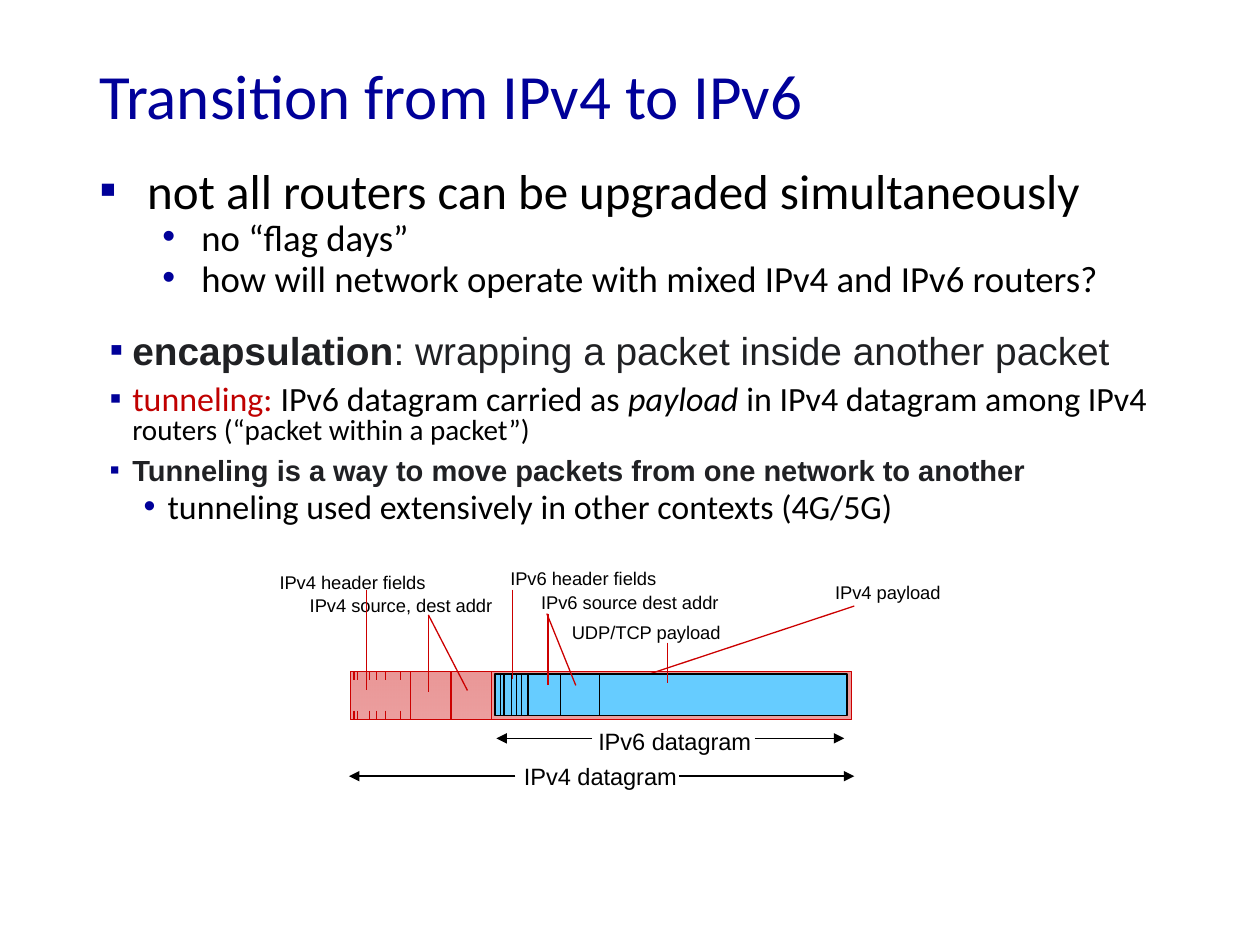
"""Build the slide on moving from IPv4 to IPv6 by tunneling."""
from lxml.etree import SubElement
from pptx import Presentation
from pptx.dml.color import RGBColor
from pptx.enum.shapes import MSO_CONNECTOR, MSO_SHAPE
from pptx.enum.text import MSO_ANCHOR, PP_ALIGN
from pptx.oxml.ns import qn
from pptx.util import Inches, Pt

COLORS = {"navy": "000099", "black": "000000", "red": "CC0000", "accent": "C00000",
          "gray": "202124", "blue": "66CCFF"}

TITLE = ("Transition from IPv4 to IPv6", 36, "Calibri", "navy", "")

# Paragraph: bullet, left indent, hanging indent, space before, runs
# Run: text, size, font, color, style (b bold, i italic)
PROBLEM = [
    ("▪", 0.38, 0.38, 5.6,
     [("not all routers can be upgraded simultaneously", 28, "Calibri", "black", "")]),
    ("•", 0.81, 0.31, 4.2, [("no “flag days”", 21, "Calibri", "black", "")]),
    ("•", 0.81, 0.31, 4.2,
     [("how will network operate with mixed IPv4 and IPv6 routers?", 21, "Calibri", "black", "")]),
]
TUNNELING = [
    ("▪", 0.29, 0.18, 7.5,
     [("encapsulation", 22.2, "Arial", "gray", "b"),
      (": wrapping a packet inside another packet", 22.2, "Arial", "gray", "")]),
    ("▪", 0.29, 0.18, 7.5,
     [("tunneling: ", 19.4, "Calibri", "accent", ""),
      ("IPv6 datagram carried as ", 19.4, "Calibri", "black", ""),
      ("payload", 19.4, "Calibri", "black", "i"),
      (" in IPv4 datagram among IPv4 ", 19.4, "Calibri", "black", ""),
      ("routers (“packet within a packet”)", 16.6, "Calibri", "black", "")]),
    ("▪", 0.29, 0.18, 7.5,
     [("Tunneling is a way to move packets from one network to another",
       16.6, "Arial", "gray", "b")]),
    ("•", 0.57, 0.19, 3.8,
     [("tunneling used extensively in other contexts (4G/5G)", 19.4, "Calibri", "black", "")]),
]

IPV4_BOX = (2.78, 5.33, 3.98, 0.38)
IPV6_BOX = (3.93, 5.35, 2.79, 0.33)
IPV4_DIVIDERS = [3.26, 3.58, 3.9]
IPV4_TICKS = [2.81, 2.84, 2.93, 2.99, 3.06, 3.18]
TICK = 0.07
IPV6_DIVIDERS = [3.97, 4, 4.06, 4.1, 4.14, 4.19, 4.45, 4.76]

# Label: text, left, top, width, height, size, alignment, line spacing
LABELS = [
    ("IPv4 source, dest addr", 2.36, 4.67, 1.72, 0.28, 10.5, PP_ALIGN.LEFT, 1.0),
    ("IPv4 header fields", 2.12, 4.48, 1.42, 0.28, 10.5, PP_ALIGN.LEFT, 1.0),
    ("IPv4 datagram", 4.06, 6, 1.43, 0.33, 13.5, PP_ALIGN.LEFT, 1.0),
    ("IPv6 datagram", 4.65, 5.72, 1.43, 0.33, 13.5, PP_ALIGN.LEFT, 1.0),
    ("IPv4 payload", 6.53, 4.56, 1.1, 0.28, 10.5, PP_ALIGN.LEFT, 1.0),
    ("UDP/TCP payload", 4.44, 4.88, 1.41, 0.28, 10.5, PP_ALIGN.LEFT, 1.0),
    ("IPv6 source dest addr", 4.18, 4.67, 1.64, 0.25, 10.5, PP_ALIGN.CENTER, 0.85),
    ("IPv6 header fields", 3.94, 4.48, 1.38, 0.25, 10.5, PP_ALIGN.CENTER, 0.85),
]
PAYLOAD_POINTER = (6.78, 4.81, 4.79, 5.47)
POINTERS = [
    (3.4, 4.88, 3.4, 5.49), (3.4, 4.88, 3.71, 5.48), (2.91, 4.68, 2.91, 5.48),
    (4.35, 4.87, 4.35, 5.44), (4.34, 4.87, 4.57, 5.44),
    (4.07, 4.68, 4.07, 5.39), (5.3, 5.1, 5.3, 5.42),
]
DIMENSION_ARROWS = [
    (5.39, 6.16, 6.78, 6.16), (4.09, 6.16, 2.77, 6.16),
    (5.99, 5.86, 6.7, 5.86), (4.7, 5.86, 3.94, 5.86),
]


def color(name):
    return RGBColor.from_string(COLORS[name])


def add_run(paragraph, text, size, font, color_name, style):
    run = paragraph.add_run()
    run.text = text
    run.font.size, run.font.name = Pt(size), font
    run.font.bold, run.font.italic = "b" in style, "i" in style
    run.font.color.rgb = color(color_name)


def add_text_box(slide, left, top, width, height, wrap=True):
    box = slide.shapes.add_textbox(*map(Inches, (left, top, width, height)))
    box.text_frame.word_wrap = wrap
    return box.text_frame


def add_bullets(text_frame, items, line_spacing):
    for index, (bullet, indent, hanging, space, runs) in enumerate(items):
        paragraph = text_frame.add_paragraph() if index else text_frame.paragraphs[0]
        paragraph.line_spacing, paragraph.space_before = line_spacing, Pt(space)
        paragraph.level = int(bullet == "•")
        properties = paragraph._p.get_or_add_pPr()
        properties.set("marL", str(Inches(indent)))
        properties.set("indent", str(-Inches(hanging)))
        bullet_color = SubElement(properties, qn("a:buClr"))
        SubElement(bullet_color, qn("a:srgbClr"), val=COLORS["navy"])
        SubElement(properties, qn("a:buFont"), typeface="Arial")
        SubElement(properties, qn("a:buChar"), char=bullet)
        for run in runs:
            add_run(paragraph, *run)


def add_line(slide, ends, color_name, arrow=False):
    line = slide.shapes.add_connector(MSO_CONNECTOR.STRAIGHT, *map(Inches, ends))
    line.line.color.rgb, line.line.width = color(color_name), Pt(0.75)
    if arrow:
        SubElement(line.line._get_or_add_ln(), qn("a:tailEnd"), type="triangle")
    SubElement(line._element.spPr, qn("a:effectLst"))


def add_box(slide, bounds, line_color, line_width):
    box = slide.shapes.add_shape(MSO_SHAPE.RECTANGLE, *map(Inches, bounds))
    box.shadow.inherit = False
    box.line.color.rgb, box.line.width = color(line_color), Pt(line_width)
    return box


def add_ipv4_datagram(slide):
    box = add_box(slide, IPV4_BOX, "red", 0.75)
    box.fill.gradient()
    box.fill.gradient_angle = 270
    for stop, opacity in zip(box.fill.gradient_stops, (41, 38)):
        stop.color.rgb = color("red")
    for node, opacity in zip(box._element.spPr.iter(qn("a:gs")), (41, 38)):
        SubElement(node[0], qn("a:alpha"), val=str(opacity * 1000))
    top, bottom = IPV4_BOX[1], IPV4_BOX[1] + IPV4_BOX[3]
    for x in IPV4_DIVIDERS:
        add_line(slide, (x, top, x, bottom), "red")
    for x in IPV4_TICKS:
        add_line(slide, (x, top, x, top + TICK), "red")
        add_line(slide, (x, bottom - TICK, x, bottom), "red")


def add_ipv6_datagram(slide):
    box = add_box(slide, IPV6_BOX, "black", 1)
    box.fill.solid()
    box.fill.fore_color.rgb = color("blue")
    for x in IPV6_DIVIDERS:
        add_line(slide, (x, IPV6_BOX[1], x, IPV6_BOX[1] + IPV6_BOX[3]), "black")


def main():
    presentation = Presentation()
    presentation.slide_width, presentation.slide_height = Inches(10), Inches(7.5)
    slide = presentation.slides.add_slide(presentation.slide_layouts[6])

    title = add_text_box(slide, 0.69, 0.38, 8.62, 0.73)
    title.vertical_anchor = MSO_ANCHOR.MIDDLE
    add_run(title.paragraphs[0], *TITLE)
    add_bullets(add_text_box(slide, 0.69, 1.33, 8.62, 0.98), PROBLEM, 0.75)

    add_ipv4_datagram(slide)
    add_line(slide, PAYLOAD_POINTER, "red")
    add_ipv6_datagram(slide)
    for text, left, top, width, height, size, alignment, spacing in LABELS:
        label = add_text_box(slide, left, top, width, height, wrap=False).paragraphs[0]
        label.alignment, label.line_spacing = alignment, spacing
        add_run(label, text, size, "Arial", "black", "")
    for ends in POINTERS:
        add_line(slide, ends, "red")
    for ends in DIMENSION_ARROWS:
        add_line(slide, ends, "black", arrow=True)

    tunneling = add_text_box(slide, 0.69, 2.62, 8.62, 1.62)
    tunneling.margin_left = tunneling.margin_right = Inches(0.07)
    tunneling.margin_top = tunneling.margin_bottom = Inches(0.04)
    add_bullets(tunneling, TUNNELING, 0.8)
    presentation.save("out.pptx")


if __name__ == "__main__":
    main()
